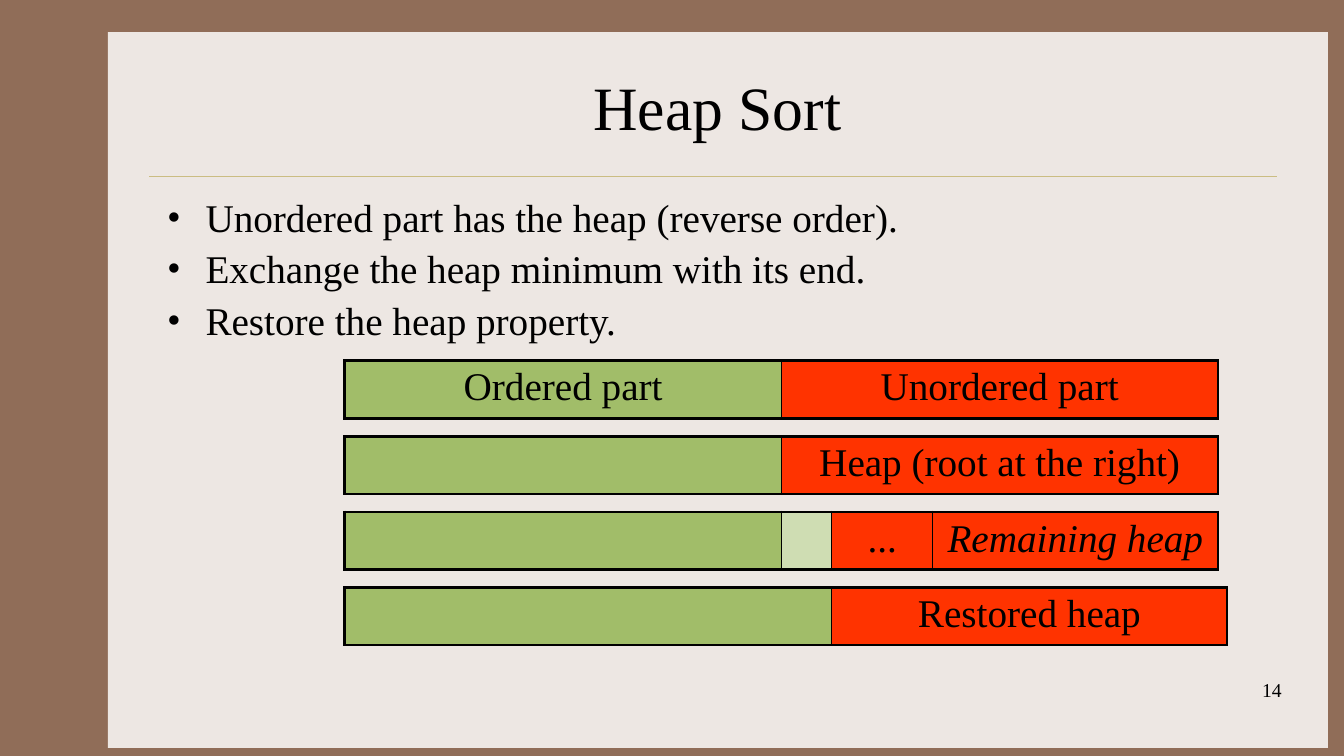
from lxml.etree import SubElement
from pptx import Presentation
from pptx.dml.color import RGBColor
from pptx.enum.shapes import MSO_CONNECTOR as Connector, MSO_SHAPE as Shape
from pptx.enum.text import MSO_ANCHOR as Anchor, PP_ALIGN as Align
from pptx.oxml.ns import qn
from pptx.util import Inches, Pt

COLORS = {
    "frame": "906D58", "paper": "EDE7E3", "rule": "CBBD83", "ink": "000000",
    "ordered": "A1BD69", "moved": "CFDDB3", "heap": "FF3300",
}
FONT = "Times New Roman"
BODY_SIZE = 28
OUTER, INNER = 2.25, 1  # border widths in points

# Content column, and the stack of array bars
TEXT_LEFT, TEXT_WIDTH = 1.56, 11.11
BAR_LEFT, BAR_TOP, BAR_STEP, BAR_HEIGHT = 3.42, 3.58, 0.75, 0.57
HALF, SLOT, DOTS = 4.33, 0.5, 1

STEPS = [
    "Unordered part has the heap (reverse order).",
    "Exchange the heap minimum with its end.",
    "Restore the heap property.",
]
# Each bar lists its parts as (width, color, label, italic)
BARS = [
    [(HALF, "ordered", "Ordered part", False), (HALF, "heap", "Unordered part", False)],
    [(HALF, "ordered", "", False), (HALF, "heap", "Heap (root at the right)", False)],
    [(HALF, "ordered", "", False), (SLOT, "moved", "", False),
     (DOTS, "heap", "...", False), (2.83, "heap", "Remaining heap", True)],
    [(HALF + SLOT, "ordered", "", False), (3.92, "heap", "Restored heap", False)],
]


def rgb(name):
    return RGBColor.from_string(COLORS[name])


def inches(*lengths):
    return [Inches(length) for length in lengths]


def add_run(paragraph, text, size, italic=False):
    run = paragraph.add_run()
    run.text = text
    run.font.name, run.font.size = FONT, Pt(size)
    run.font.color.rgb = rgb("ink")
    if italic:
        run.font.italic = True


def add_text(slide, box, lines, size, align=Align.LEFT, anchor=Anchor.TOP, bullets=False):
    frame = slide.shapes.add_textbox(*inches(*box)).text_frame
    frame.word_wrap = True
    frame.vertical_anchor = anchor
    for index, line in enumerate(lines):
        paragraph = frame.add_paragraph() if index else frame.paragraphs[0]
        paragraph.alignment = align
        if bullets:
            add_bullet(paragraph)
            paragraph.line_spacing = 0.9
            if index:
                paragraph.space_before = Pt(6.5)
        add_run(paragraph, line, size)


def add_bullet(paragraph):
    props = paragraph._p.get_or_add_pPr()
    indent = Inches(0.38)
    props.set("marL", str(indent))
    props.set("indent", str(-indent))
    SubElement(props, qn("a:buFont"), typeface=FONT)
    SubElement(props, qn("a:buChar"), char="•")


def set_borders(cell, widths):
    props = cell._tc.get_or_add_tcPr()
    for index, (side, width) in enumerate(widths.items()):
        line = SubElement(props, qn(f"a:ln{side}"), w=str(Pt(width)))
        fill = SubElement(line, qn("a:solidFill"))
        SubElement(fill, qn("a:srgbClr"), val=COLORS["ink"])
        props.insert(index, line)  # borders come before the fill


def add_bar(slide, top, parts):
    width = sum(part[0] for part in parts)
    table = slide.shapes.add_table(
        1, len(parts), *inches(BAR_LEFT, top, width, BAR_HEIGHT)).table
    table.first_row = table.horz_banding = False
    last = len(parts) - 1
    for index, (part_width, color, label, italic) in enumerate(parts):
        table.columns[index].width = Inches(part_width)
        cell = table.cell(0, index)
        cell.fill.solid()
        cell.fill.fore_color.rgb = rgb(color)
        set_borders(cell, {
            "L": INNER if index else OUTER, "R": OUTER if index == last else INNER,
            "T": OUTER, "B": OUTER,
        })
        if label:
            paragraph = cell.text_frame.paragraphs[0]
            paragraph.alignment = Align.CENTER
            add_run(paragraph, label, BODY_SIZE, italic)


def add_backdrop(slide):
    slide.background.fill.solid()
    slide.background.fill.fore_color.rgb = rgb("frame")
    paper = slide.shapes.add_shape(Shape.RECTANGLE, *inches(1.07, 0.32, 12.1, 7.1))
    paper.shadow.inherit = False
    paper.fill.solid()
    paper.fill.fore_color.rgb = rgb("paper")
    paper.line.fill.background()
    rule = slide.shapes.add_connector(Connector.STRAIGHT, *inches(1.48, 1.75, 12.67, 1.75))
    rule.line.color.rgb = rgb("rule")
    rule.line.width = Pt(0.25)
    SubElement(rule._element.spPr, qn("a:effectLst"))


def main():
    deck = Presentation()
    deck.slide_width, deck.slide_height = inches(13.33, 7.5)
    slide = deck.slides.add_slide(deck.slide_layouts[6])
    add_backdrop(slide)

    # Title, steps and page number
    add_text(slide, (TEXT_LEFT, 0.42, TEXT_WIDTH, 1.25), ["Heap Sort"], 44,
             Align.CENTER, Anchor.MIDDLE)
    add_text(slide, (TEXT_LEFT, 1.92, TEXT_WIDTH, 1.67), STEPS, BODY_SIZE, bullets=True)
    add_text(slide, (10.03, 6.68, 2.78, 0.5), ["14"], 14, Align.RIGHT)

    # Array states, one bar for each stage
    for stage, parts in enumerate(BARS):
        add_bar(slide, BAR_TOP + stage * BAR_STEP, parts)

    deck.save("out.pptx")


if __name__ == "__main__":
    main()
